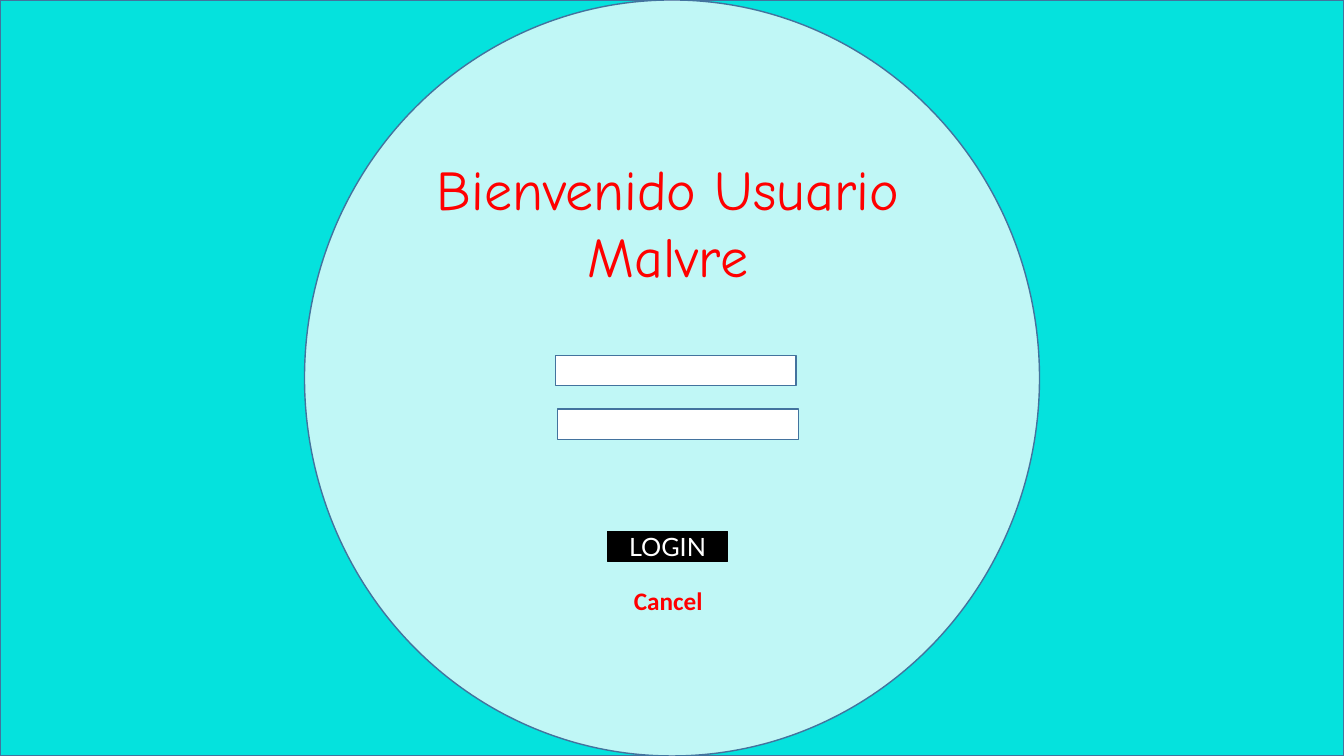
"""Build a login welcome slide with a circular panel, two fields and two actions."""
import pptx
import pptx.dml.color
import pptx.enum.shapes
import pptx.enum.text
import pptx.oxml
import pptx.oxml.ns
import pptx.util
from lxml import etree

Pt = pptx.util.Pt
Color = pptx.dml.color.RGBColor
Shape = pptx.enum.shapes.MSO_SHAPE
Align = pptx.enum.text.PP_ALIGN
Anchor = pptx.enum.text.MSO_ANCHOR
AutoSize = pptx.enum.text.MSO_AUTO_SIZE

TURQUOISE = Color(0x05, 0xE2, 0xDD)
WHITE = Color(0xFF, 0xFF, 0xFF)
BLACK = Color(0, 0, 0)
RED = Color(0xFF, 0, 0)
OUTLINE = Color(0x43, 0x73, 0x9E)
WIDTH, HEIGHT = 960, 540


class LoginPage:
    def __init__(self, deck):
        self.page = deck.slides.add_slide(deck.slide_layouts[5])
        self.line_width = Pt(1)

    def shape(self, kind, left, top, width, height, fill, line=OUTLINE, opacity=100):
        shape = self.page.shapes.add_shape(kind, Pt(left), Pt(top), Pt(width), Pt(height))
        shape.shadow.inherit = False
        shape.fill.solid()
        shape.fill.fore_color.rgb = fill
        shape.line.color.rgb = line
        shape.line.width = self.line_width
        if opacity < 100:
            color = shape.element.spPr.find(".//" + pptx.oxml.ns.qn("a:srgbClr"))
            etree.SubElement(color, pptx.oxml.ns.qn("a:alpha"), val=str(opacity * 1000))
        return shape

    def set_text(self, box, text, color, align=Align.CENTER, anchor=Anchor.MIDDLE,
                 wrap=True, auto_size=AutoSize.NONE, **font):
        frame = box.text_frame
        for name, value in {"word_wrap": wrap, "auto_size": auto_size,
                            "vertical_anchor": anchor}.items():
            setattr(frame, name, value)
        para = frame.paragraphs[0]
        para.alignment = align
        span = para.add_run()
        span.text = text
        span.font.color.rgb = color
        for name, value in font.items():
            setattr(span.font, name, value)

    def title(self, text, left, top, width, height, **style):
        box = self.page.shapes.title
        places = {"left": left, "top": top, "width": width, "height": height}
        for name, value in places.items():
            setattr(box, name, Pt(value))
        box.element.getparent().append(box.element)
        self.set_text(box, text, **style)

    def label(self, text, left, top, width, height, **style):
        box = self.page.shapes.add_textbox(Pt(left), Pt(top), Pt(width), Pt(height))
        self.set_text(box, text, **style)


def main():
    deck = pptx.Presentation()
    deck.slide_width, deck.slide_height = Pt(WIDTH), Pt(HEIGHT)
    login = LoginPage(deck)

    login.shape(Shape.RECTANGLE, 0, 0, WIDTH, HEIGHT, TURQUOISE)
    login.shape(Shape.OVAL, 217.5, 0, 525, HEIGHT, WHITE, opacity=75)
    login.title("Bienvenido Usuario Malvre", 299.5, 129.6, 355, 57,
                color=RED, name="Comic Neue", size=Pt(40))

    for left, top in ((396.75, 254), (398.25, 292.25)):
        login.shape(Shape.RECTANGLE, left, top, 172, 21.6, WHITE)

    button = login.shape(Shape.RECTANGLE, 434, 379.5, 85.7, 21.6, BLACK, line=BLACK)
    login.set_text(button, "LOGIN", WHITE, name="Lato", size=Pt(18))
    login.label("Cancel", 445.7, 414.7, 64, 29, color=RED, align=Align.LEFT,
                anchor=Anchor.TOP, wrap=False, auto_size=AutoSize.SHAPE_TO_FIT_TEXT,
                name="Calibri", size=Pt(18), bold=True)

    deck.save("out.pptx")


if __name__ == "__main__":
    main()
